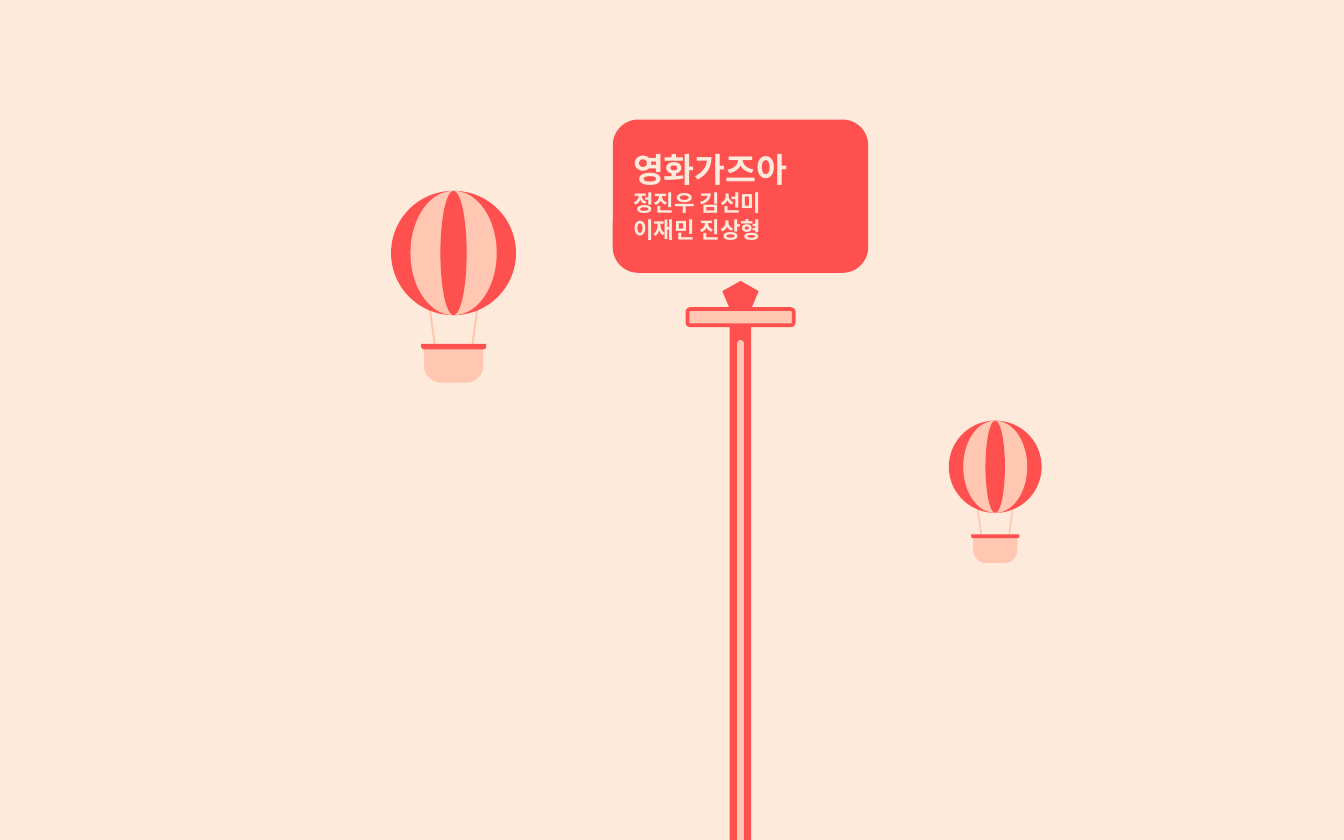
from pptx import Presentation
from pptx.dml.color import RGBColor
from pptx.enum.shapes import MSO_SHAPE
from pptx.enum.text import MSO_ANCHOR, MSO_AUTO_SIZE, PP_ALIGN
from pptx.util import Inches, Pt

ELLIPSE = MSO_SHAPE.OVAL
ROUNDED = MSO_SHAPE.ROUNDED_RECTANGLE
ROUND_TOP = MSO_SHAPE.ROUND_2_SAME_RECTANGLE
PENTAGON = MSO_SHAPE.REGULAR_PENTAGON
JUSTIFY = PP_ALIGN.JUSTIFY
MIDDLE = MSO_ANCHOR.MIDDLE
NO_AUTOFIT = MSO_AUTO_SIZE.NONE

COLORS = {"background": "FDEADA", "red": "FF5050", "peach": "FFC6B1"}
FONT = {"name": "Arial", "bold": True}
FRAME = {"margin_left": 0, "margin_right": 0, "margin_top": 0, "margin_bottom": 0,
         "word_wrap": True, "auto_size": NO_AUTOFIT, "vertical_anchor": MIDDLE}
PARAGRAPH = {"alignment": JUSTIFY, "space_before": Pt(0), "line_spacing": 1.0}


def color(name):
    return RGBColor.from_string(COLORS[name])


def apply_format(target, values):
    for name, value in values.items():
        setattr(target, name, value)


def add_part(shapes, kind, box, fill, rotation=0, outline=None):
    """Add one flat shape; box is left, top, width, height in inches."""
    shape = shapes.add_shape(kind, *(Inches(value) for value in box))
    shape.shadow.inherit = False
    shape.rotation = rotation
    shape.fill.solid()
    shape.fill.fore_color.rgb = color(fill)
    if outline:
        shape.line.color.rgb = color(outline)
        shape.line.width = Pt(2)
    else:
        shape.line.fill.background()
    if kind == ROUND_TOP:
        shape.adjustments[0] = 0.5
    return shape


def add_balloon(slide, left, top, width):
    """Draw a balloon whose parts are fractions of its width, centred on one axis."""
    shapes = slide.shapes.add_group_shape().shapes
    center = left + width / 2

    def centered(part_width, part_top, part_height, offset=0.0):
        return (center + (offset - part_width / 2) * width, top + part_top * width,
                part_width * width, part_height * width)

    for side in (-1, 1):
        rope = centered(0.52, 1.02, 0.016, side * 0.178)
        add_part(shapes, ROUNDED, rope, "peach", 90 + side * 7.7)
    add_part(shapes, ROUND_TOP, centered(0.475, 1.26, 0.275), "peach", 180)
    add_part(shapes, ROUND_TOP, centered(0.52, 1.225, 0.043), "red", 180)
    for stripe, fill in ((1, "red"), (0.69, "peach"), (0.21, "red")):
        add_part(shapes, ELLIPSE, centered(stripe, 0, 0.995), fill)


def add_pole(slide, center, top, bottom):
    shapes = slide.shapes.add_group_shape().shapes

    def centered(width, offset, height):
        return center - width / 2, top + offset, width, height

    length = bottom - top
    add_part(shapes, ROUND_TOP, centered(0.16, 0.13, length - 0.13), "red")
    add_part(shapes, ROUNDED, centered(0.79, 0.21, 0.12), "peach", outline="red")
    add_part(shapes, ROUND_TOP, centered(0.05, 0.44, length - 0.44), "peach")
    add_part(shapes, PENTAGON, centered(0.27, 0, 0.2), "red")


def fill_placeholder(placeholder, box, lines, size):
    placeholder.left, placeholder.top, placeholder.width, placeholder.height = (
        Inches(value) for value in box)
    frame = placeholder.text_frame
    frame.text = "\n".join(lines)
    apply_format(frame, FRAME)
    for paragraph in frame.paragraphs:
        apply_format(paragraph, PARAGRAPH)
        apply_format(paragraph.font, {**FONT, "size": Pt(size)})
        paragraph.font.color.rgb = color("background")
    # Placeholders start at the back; bring the text in front of the sign.
    placeholder.element.getparent().append(placeholder.element)


def add_sign(slide, left, top, width, height):
    add_part(slide.shapes, ROUNDED, (left, top, width, height), "red")
    title, names = slide.placeholders
    text_left, text_width = left + 0.15, width - 0.3
    fill_placeholder(title, (text_left, top + 0.22, text_width, 0.3),
                     ["영화가즈아"], 18)
    fill_placeholder(names, (text_left, top + 0.52, text_width, 0.4),
                     ["정진우 김선미", "이재민 진상형"], 12)


def main():
    presentation = Presentation()
    presentation.slide_width = Inches(10)
    presentation.slide_height = Inches(6.25)
    slide = presentation.slides.add_slide(presentation.slide_layouts[0])
    slide.background.fill.solid()
    slide.background.fill.fore_color.rgb = color("background")
    add_pole(slide, 5.51, 2.09, 6.25)
    add_balloon(slide, 2.91, 1.42, 0.93)
    add_balloon(slide, 7.06, 3.13, 0.69)
    add_sign(slide, 4.56, 0.89, 1.9, 1.14)
    presentation.save("out.pptx")


if __name__ == "__main__":
    main()
